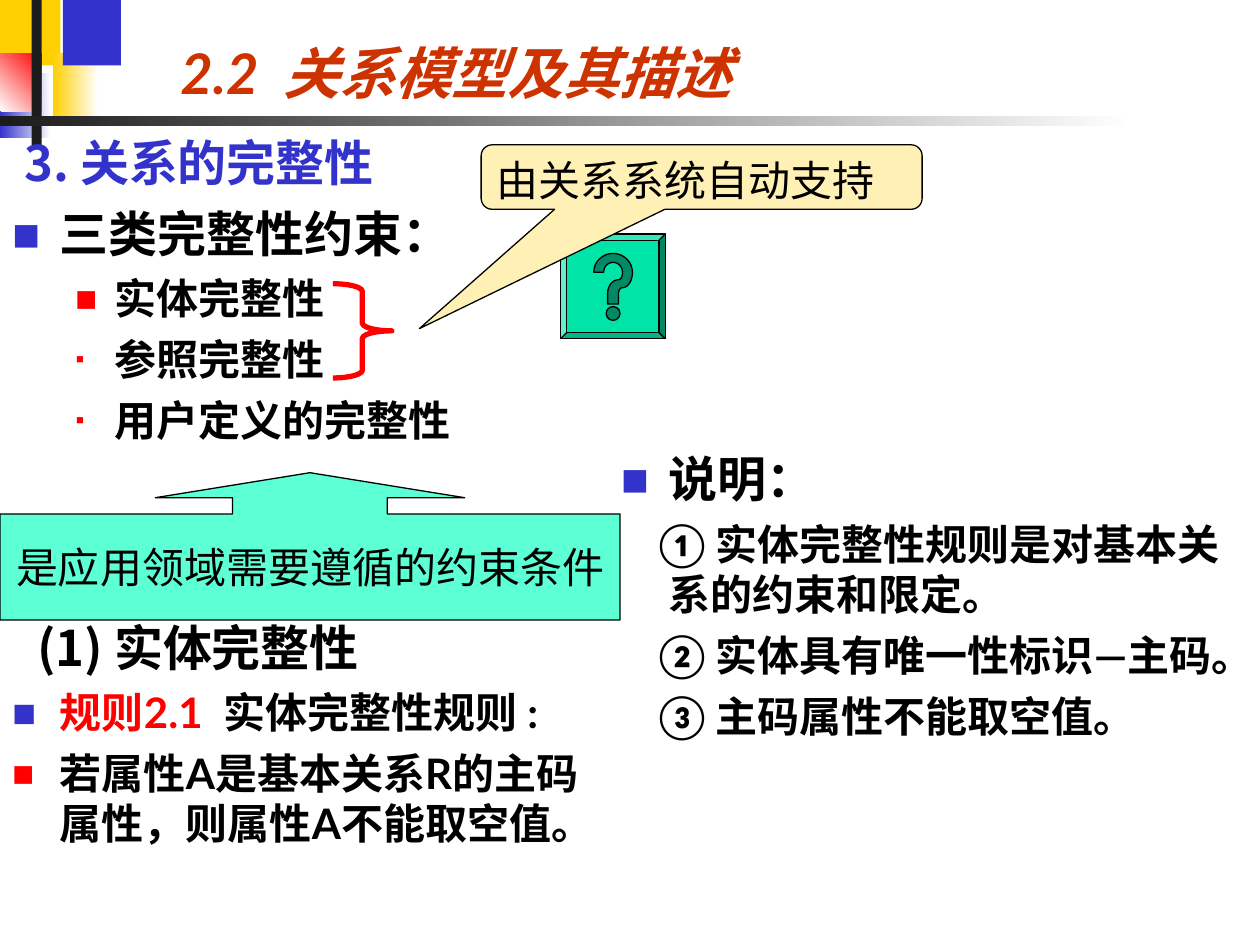
from math import cos, radians, sin

from lxml import etree
from pptx import Presentation
from pptx import util as u
from pptx.dml.color import RGBColor
from pptx.enum import shapes, text
from pptx.oxml.ns import qn

Cm, Pt = u.Cm, u.Pt
G = shapes.MSO_SHAPE

BLACK = RGBColor(0x00, 0x00, 0x00)
WHITE = RGBColor(0xFF, 0xFF, 0xFF)
CHARCOAL = RGBColor(0x1C, 0x1C, 0x1C)
YELLOW = RGBColor(0xFF, 0xCF, 0x01)
BLUE = RGBColor(0x33, 0x33, 0xCC)
RED = RGBColor(0xFF, 0x00, 0x00)
RUST = RGBColor(0xCC, 0x33, 0x00)
MINT = RGBColor(0x5D, 0xFF, 0xD5)
GREEN = RGBColor(0x00, 0xE4, 0xA8)
DARK_GREEN = RGBColor(0x00, 0x89, 0x65)
CREAM = RGBColor(0xFF, 0xF1, 0xB5)

LATO, NOTO = "Lato", "Noto Sans CJK SC"
HANG = 0.96  # left indent of first-level text, cm


def add_run(p, words, size, color=BLACK, font=LATO, bold=True, italic=False):
    r = p.add_run()
    r.text = words
    f = r.font
    f.size, f.bold, f.italic, f.name = Pt(size), bold, italic, font
    f.color.rgb = color
    etree.SubElement(r._r.get_or_add_rPr(), qn("a:ea"), typeface=LATO)


def add_bullet(p, char, color, percent):
    pPr = p._p.get_or_add_pPr()
    clr = etree.SubElement(pPr, qn("a:buClr"))
    etree.SubElement(clr, qn("a:srgbClr"), val=str(color))
    etree.SubElement(pPr, qn("a:buSzPct"), val=str(percent * 1000))
    etree.SubElement(pPr, qn("a:buFont"), typeface=LATO)
    etree.SubElement(pPr, qn("a:buChar"), char=char)


def add_paragraph(tf, runs, size, bullet=None, left=HANG, indent=-HANG, level=0):
    """Runs are (words, colour, font); a bullet is (char, colour, percent)."""
    first = not tf.paragraphs[0].runs
    p = tf.paragraphs[0] if first else tf.add_paragraph()
    p.level = level
    pPr = p._p.get_or_add_pPr()
    pPr.set("marL", str(Cm(left)))
    pPr.set("indent", str(Cm(indent)))
    if bullet:
        add_bullet(p, *bullet)
    if not first:
        p.space_before = Pt(7 if size == 28 else 6)
    for words, color, font in runs:
        add_run(p, words, size, color, font)


def add_textbox(s, x, y, w, h):
    tf = s.shapes.add_textbox(Cm(x), Cm(y), Cm(w), Cm(h)).text_frame
    tf.word_wrap = True
    return tf


def paint(sp, fill=None, line=None, width=0.75):
    sp.shadow.inherit = False
    if fill is None:
        sp.fill.background()
    else:
        sp.fill.solid()
        sp.fill.fore_color.rgb = fill
    if line is None:
        sp.line.fill.background()
    else:
        sp.line.color.rgb = line
        sp.line.width = Pt(width)


def add_preset(s, kind, x, y, w, h, fill=None, line=None, width=0.75, adj=()):
    sp = s.shapes.add_shape(kind, Cm(x), Cm(y), Cm(w), Cm(h))
    paint(sp, fill, line, width)
    for i, value in enumerate(adj):
        sp.adjustments[i] = value
    return sp


def add_fade(s, x, y, w, h, start, end, angle=0):
    sp = add_preset(s, G.RECTANGLE, x, y, w, h)
    sp.fill.gradient()
    sp.fill.gradient_angle = angle
    for stop, color in zip(sp.fill.gradient_stops, (start, end)):
        stop.color.rgb = color


def label(sp, words, align, anchor, wrap):
    tf = sp.text_frame
    tf.word_wrap, tf.vertical_anchor = wrap, anchor
    p = tf.paragraphs[0]
    p.alignment = align
    add_run(p, words, 24, bold=False)


def add_decoration(s):
    add_preset(s, G.RECTANGLE, 0, 0, 1.22, 1.32, YELLOW)
    add_fade(s, 1.07, 1.07, 0.91, 1.32, YELLOW, WHITE)
    add_preset(s, G.RECTANGLE, 1.27, 0, 1.17, 1.32, BLUE)
    add_fade(s, 0, 1.47, 1.02, 1.32, BLUE, WHITE)
    add_fade(s, 0, 1.07, 0.84, 1.17, WHITE, RED, 45)
    add_preset(s, G.RECTANGLE, 0.64, 0, 0.2, 2.92, CHARCOAL)
    add_fade(s, 0, 2.34, 22.86, 0.2, CHARCOAL, WHITE)


def add_title(s):
    sp = s.shapes.title
    sp.left, sp.top, sp.width, sp.height = Cm(3.38), Cm(0.64), Cm(20.75), Cm(1.63)
    tf = sp.text_frame
    tf.vertical_anchor = text.MSO_ANCHOR.TOP
    p = tf.paragraphs[0]
    p.alignment = text.PP_ALIGN.LEFT
    add_run(p, "2.2  ", 32, RUST, LATO, italic=True)
    add_run(p, "关系模型及其描述", 32, RUST, NOTO, italic=True)


def arc(cx, cy, rx, ry, start, end, steps=16):
    angles = [radians(start + (end - start) * i / steps) for i in range(steps + 1)]
    return [(cx + rx * cos(a), cy + ry * sin(a)) for a in angles]


def add_help_button(s):
    add_preset(s, G.BEVEL, 11.3, 4.72, 2.11, 2.11, GREEN, BLACK, adj=[0.06])
    cx, cy = 12.36, 5.49
    hook = (
        arc(0, 0, 0.39, 0.38, 180, 360)
        + arc(0.19, 0, 0.2, 0.31, 0, 90)
        + arc(0.19, 0.43, 0.08, 0.12, 270, 180)
        + [(0.11, 0.64), (-0.11, 0.64)]
        + arc(0.11, 0.43, 0.22, 0.28, 180, 270)
        + arc(0.11, 0, 0.08, 0.15, 90, 0)
        + arc(0, 0, 0.19, 0.2, 360, 180)
    )
    points = [(Cm(cx + x), Cm(cy + y)) for x, y in hook]
    fb = s.shapes.build_freeform(*points[0])
    fb.add_line_segments(points[1:], close=True)
    paint(fb.convert_to_shape(), DARK_GREEN, BLACK)
    add_preset(s, G.OVAL, cx - 0.14, cy + 0.69, 0.28, 0.28, DARK_GREEN, BLACK)


def main():
    prs = Presentation()
    prs.slide_width, prs.slide_height = Cm(25.4), Cm(19.05)
    s = prs.slides.add_slide(prs.slide_layouts[5])
    add_decoration(s)
    add_title(s)
    blue_square, red_square = ("■", BLUE, 60), ("■", RED, 55)
    red_dot = ("▪", RED, 55)

    # Three kinds of integrity constraint
    tf = add_textbox(s, 0, 2.54, 12.5, 7.62)
    add_paragraph(tf, [("3. ", BLUE, NOTO), ("关系的完整性", BLUE, LATO)], 28, indent=-0.72)
    add_paragraph(tf, [("三类完整性约束：", BLACK, LATO)], 28, blue_square)
    for words, bullet in (("实体完整性", red_square), ("参照完整性", red_dot),
                          ("用户定义的完整性", red_dot)):
        add_paragraph(tf, [(words, BLACK, LATO)], 24, bullet, 2.06, -0.79, 1)

    # Explanation
    tf = add_textbox(s, 12.27, 8.92, 13.13, 6.68)
    add_paragraph(tf, [("说明：", BLACK, LATO)], 28, blue_square)
    for number, words in (("① ", "实体完整性规则是对基本关系的约束和限定。"),
                          ("② ", "实体具有唯一性标识—主码。"),
                          ("③ ", "主码属性不能取空值。")):
        add_paragraph(tf, [(number, BLACK, NOTO), (words, BLACK, LATO)], 24, indent=-0.2)

    # Entity integrity rule
    tf = add_textbox(s, 0, 12.32, 12.5, 5.28)
    add_paragraph(tf, [("(1) ", BLACK, NOTO), ("实体完整性", BLACK, LATO)], 28, indent=-0.46)
    add_paragraph(tf, [("规则2.1  ", RED, LATO), ("实体完整性规则 :", BLACK, LATO)], 24, blue_square)
    add_paragraph(tf, [("若属性A是基本关系R的主码属性，则属性A不能取空值。", BLACK, LATO)], 24, red_square)

    # Callouts, button and brace
    sp = add_preset(s, G.UP_ARROW_CALLOUT, 0, 9.53, 12.5, 2.97, MINT, BLACK,
                    adj=[1.05, 1.05, 0.17, 0.72])
    label(sp, "是应用领域需要遵循的约束条件", text.PP_ALIGN.CENTER, text.MSO_ANCHOR.MIDDLE, False)
    add_help_button(s)
    add_preset(s, G.RIGHT_BRACE, 6.71, 5.72, 1.19, 1.9, line=RED, width=3, adj=[0.13, 0.5])
    sp = add_preset(s, G.ROUNDED_RECTANGULAR_CALLOUT, 9.7, 2.92, 8.89, 1.3, CREAM, BLACK,
                    adj=[-0.64, 2.35, 0.17])
    label(sp, "由关系系统自动支持", text.PP_ALIGN.LEFT, text.MSO_ANCHOR.TOP, True)

    prs.save("out.pptx")


if __name__ == "__main__":
    main()
